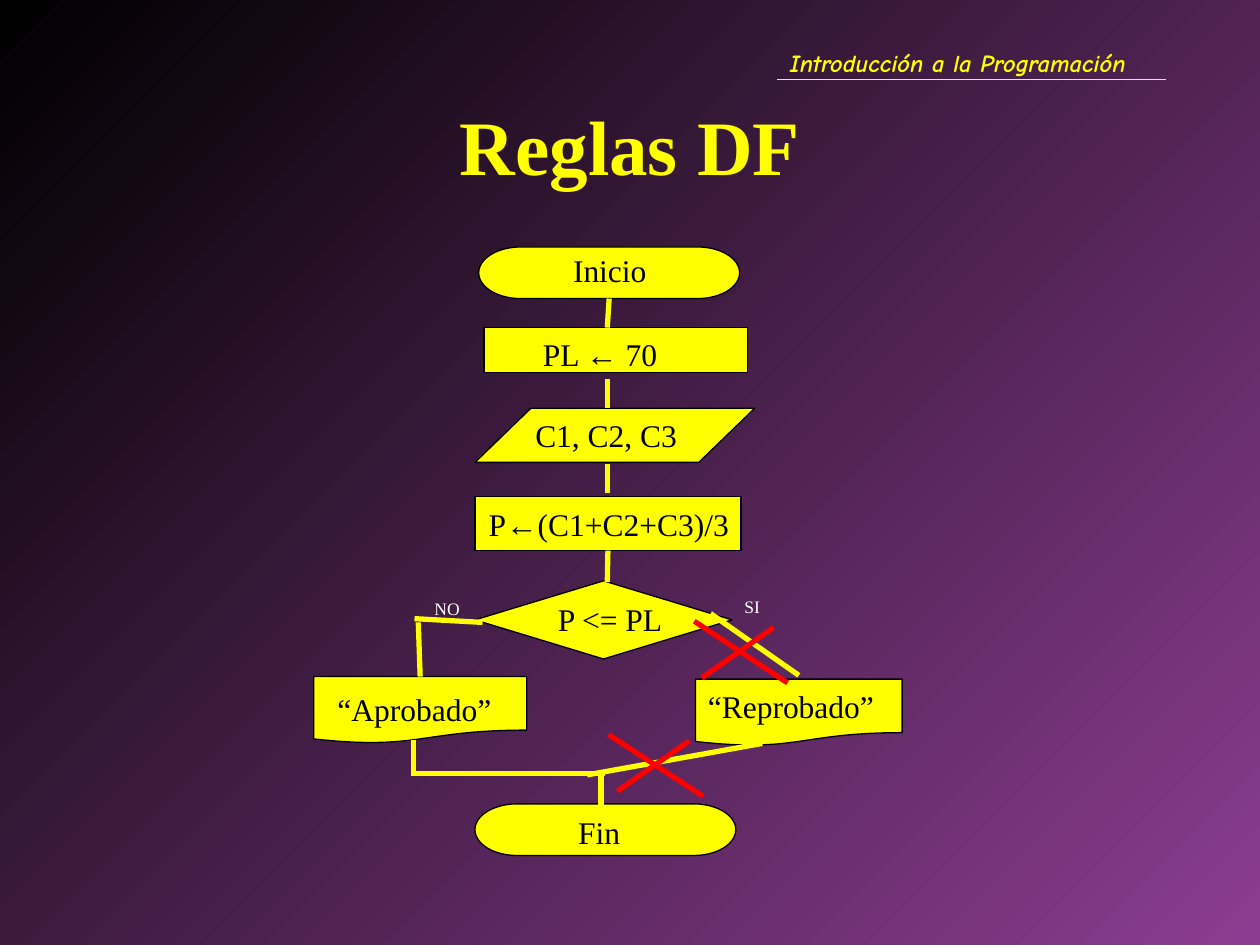
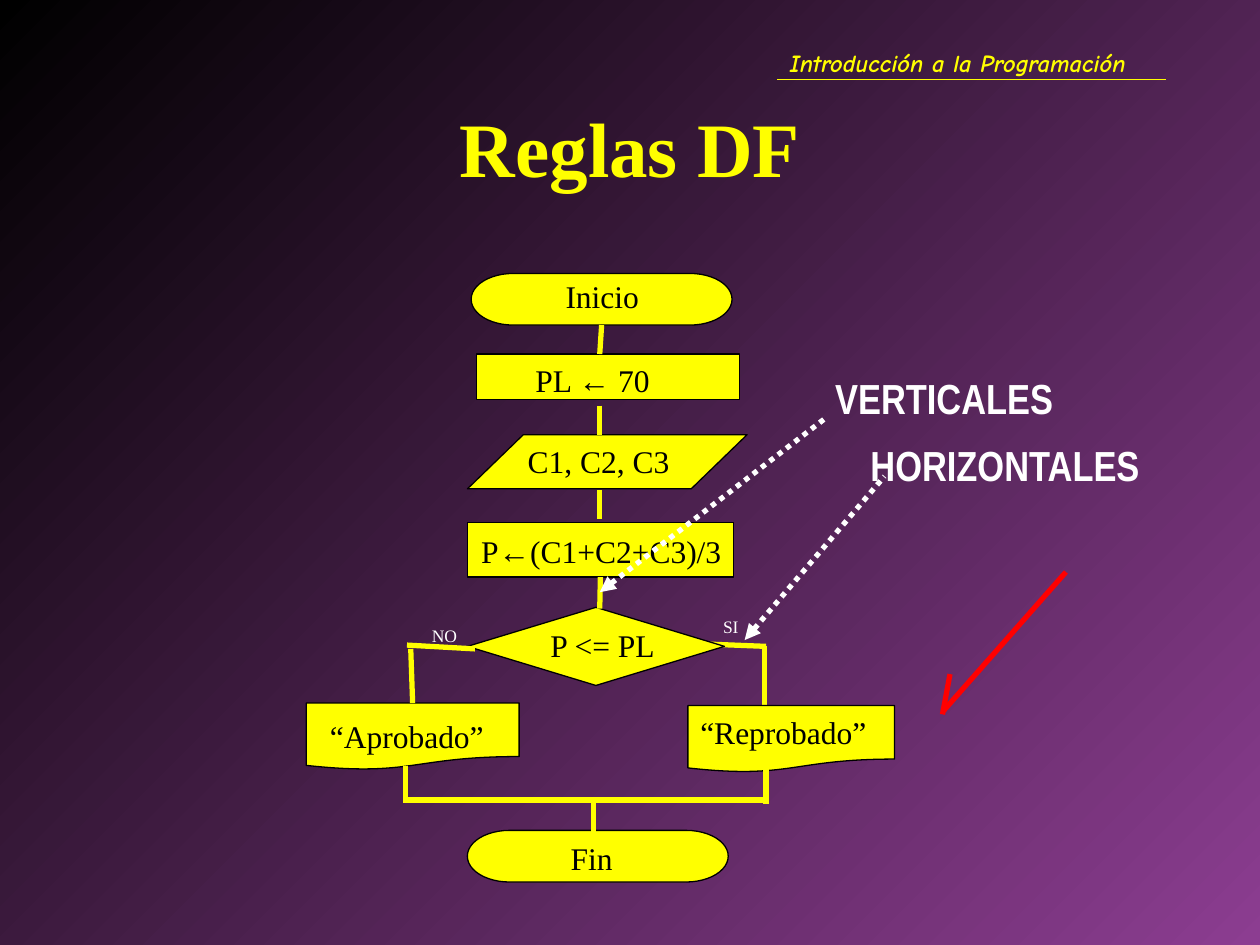
from pptx import Presentation
from pptx.dml.color import RGBColor
from pptx.enum.dml import MSO_LINE
from pptx.enum.shapes import MSO_CONNECTOR, MSO_SHAPE as Kind
from pptx.enum.text import MSO_ANCHOR, MSO_AUTO_SIZE, PP_ALIGN
from pptx.oxml.ns import qn
from pptx.util import Inches, Pt
from lxml.etree import SubElement

YELLOW = RGBColor(0xFF, 0xFF, 0x00)
BLACK = RGBColor(0x00, 0x00, 0x00)
PURPLE = RGBColor(0x8C, 0x3D, 0x91)
WHITE = RGBColor(0xFF, 0xFF, 0xFF)
RED = RGBColor(0xFF, 0x00, 0x00)
SERIF = "Times New Roman"


def add_text(slide, text, place, size, color, font=SERIF, bold=None, italic=None):
    box = slide.shapes.add_textbox(*map(Inches, place))
    frame = box.text_frame
    frame.word_wrap = True
    para = frame.paragraphs[0]
    para.space_before = Pt(round(size * 0.625, 1))
    for part in filter(None, text.partition("←")):
        run = para.add_run()
        run.text = part
        run.font.name = "Arial" if part == "←" else font
        run.font.size = Pt(size)
        run.font.color.rgb = color
        run.font.bold = bold
        run.font.italic = italic


def add_line(slide, ends, color=YELLOW, width=3, arrow=False):
    line = slide.shapes.add_connector(MSO_CONNECTOR.STRAIGHT, *map(Inches, ends))
    line.line.color.rgb = color
    line.line.width = Pt(width)
    props = line._element.spPr
    if arrow:
        line.line.dash_style = MSO_LINE.ROUND_DOT
        SubElement(props.find(qn("a:ln")), qn("a:headEnd"), type="triangle")
    SubElement(props, qn("a:effectLst"))
    return line


prs = Presentation()
prs.slide_width, prs.slide_height = Inches(10), Inches(7.5)

fill = prs.slide_master.background.fill
fill.gradient()
fill.gradient_angle = 315
for stop, color, spot in zip(fill.gradient_stops, (BLACK, PURPLE), (0, 1)):
    stop.color.rgb = color
    stop.position = spot

nodes = {
    "start": (Kind.FLOWCHART_TERMINATOR, 3.8, 1.96, 2.07, 0.41),
    "limit": (Kind.RECTANGLE, 3.84, 2.6, 2.09, 0.36),
    "input": (Kind.FLOWCHART_DATA, 3.77, 3.24, 2.22, 0.43),
    "mean": (Kind.FLOWCHART_PROCESS, 3.77, 3.94, 2.11, 0.43),
    "test": (Kind.FLOWCHART_DECISION, 3.77, 4.61, 2.04, 0.62),
    "pass": (Kind.FLOWCHART_DOCUMENT, 2.49, 5.37, 1.69, 0.53),
    "fail": (Kind.FLOWCHART_DOCUMENT, 5.52, 5.39, 1.64, 0.53),
    "end": (Kind.FLOWCHART_TERMINATOR, 3.77, 6.38, 2.07, 0.41),
}
words = [
    ("Inicio", 4.45, 1.94, 1.27),
    ("PL ← 70", 4.21, 2.61, 1.44),
    ("C1, C2, C3", 4.15, 3.25, 1.44),
    ("P←(C1+C2+C3)/3", 3.78, 3.96, 2.11),
    ("P <= PL", 4.33, 4.71, 1.44),
    ("“Aprobado”", 2.58, 5.43, 1.51),
    ("“Reprobado”", 5.52, 5.4, 1.6),
    ("Fin", 4.49, 6.4, 1.26),
]
links = [
    (4.82, 2.37, 4.82, 2.6, "start", None),
    (4.82, 3.01, 4.82, 3.24, None, None),
    (4.82, 3.68, 4.82, 3.91, None, None),
    (4.82, 4.37, 4.82, 4.62, "mean", None),
    (4.77, 6.15, 4.77, 6.39, None, None),
    (3.32, 4.94, 3.32, 5.37, None, "pass"),
    (3.29, 4.91, 3.83, 4.94, None, None),
    (3.26, 6.14, 4.8, 6.14, None, None),
    (3.28, 5.87, 3.28, 6.16, None, None),
]
pages = [
    dict(
        dx=0, dy=0, tall=0.95,
        back=[],
        front=[(5.64, 4.87, 6.34, 5.36), (6.05, 5.9, 4.66, 6.15)],
        marks=[(4.83, 5.83, 5.58, 6.32), (5.47, 5.88, 4.9, 6.28),
               (5.51, 4.93, 6.25, 5.42), (6.14, 4.98, 5.57, 5.38)],
        notes=[],
        tags=[("NO", 3.35, 4.7), ("SI", 5.81, 4.68)],
    ),
    dict(
        dx=-0.06, dy=0.21, tall=0.99,
        back=[(6.07, 5.13, 6.07, 5.6), (5.57, 5.11, 6.08, 5.13)],
        front=[(6.08, 6.1, 6.08, 6.38), (4.61, 6.35, 6.08, 6.35)],
        marks=[(7.48, 5.65, 8.46, 4.54), (7.54, 5.35, 7.48, 5.67)],
        notes=[("VERTICALES", (6.53, 2.91, 1.98, 0.5), (4.76, 4.7, 6.55, 3.32)),
               ("HORIZONTALES", (6.81, 3.44, 2.38, 0.5), (5.91, 5.08, 7.02, 3.78))],
        tags=[("NO", 3.33, 4.91), ("SI", 5.64, 4.84)],
    ),
]

for page in pages:
    dx, dy = page["dx"], page["dy"]
    slide = prs.slides.add_slide(prs.slide_layouts[5])
    add_text(slide, "Introducción a la Programación", (6.17, 0.33, 3.25, 0.34),
             14, YELLOW, "Comic Neue", True, True)
    add_line(slide, (6.17, 0.63, 9.25, 0.63), width=0.75)

    title = slide.shapes.title
    title.left, title.top = Inches(0.75), Inches(0.67)
    title.width, title.height = Inches(8.5), Inches(page["tall"])
    frame = title.text_frame
    frame.text = "Reglas DF"
    frame.auto_size = MSO_AUTO_SIZE.NONE
    frame.vertical_anchor = MSO_ANCHOR.MIDDLE
    para = frame.paragraphs[0]
    para.alignment = PP_ALIGN.CENTER
    font = para.runs[0].font
    font.name, font.size, font.bold = SERIF, Pt(44), True
    font.color.rgb = YELLOW

    for ends in page["back"]:
        add_line(slide, ends)

    shapes = {}
    for name, (kind, x, y, w, h) in nodes.items():
        shape = slide.shapes.add_shape(kind, *map(Inches, (x + dx, y + dy, w, h)))
        shape.shadow.inherit = False
        shape.fill.solid()
        shape.fill.fore_color.rgb = YELLOW
        shape.line.color.rgb = BLACK
        shape.line.width = Pt(0.75)
        shapes[name] = shape

    for text, x, y, w in words:
        add_text(slide, text, (x + dx, y + dy, w, 0.4), 18, BLACK)

    for x1, y1, x2, y2, first, last in links:
        line = add_line(slide, (x1 + dx, y1 + dy, x2 + dx, y2 + dy))
        if first:
            line.begin_connect(shapes[first], 2)
        if last:
            line.end_connect(shapes[last], 0)

    for text, place, ends in page["notes"]:
        add_line(slide, ends, WHITE, arrow=True)
        add_text(slide, text, place, 24, WHITE, "Arial Narrow", True)
    for ends in page["front"]:
        add_line(slide, ends)
    for ends in page["marks"]:
        add_line(slide, ends, RED)
    for text, x, y in page["tags"]:
        add_text(slide, text, (x, y, 0.47, 0.27), 10, WHITE)

prs.save("out.pptx")
